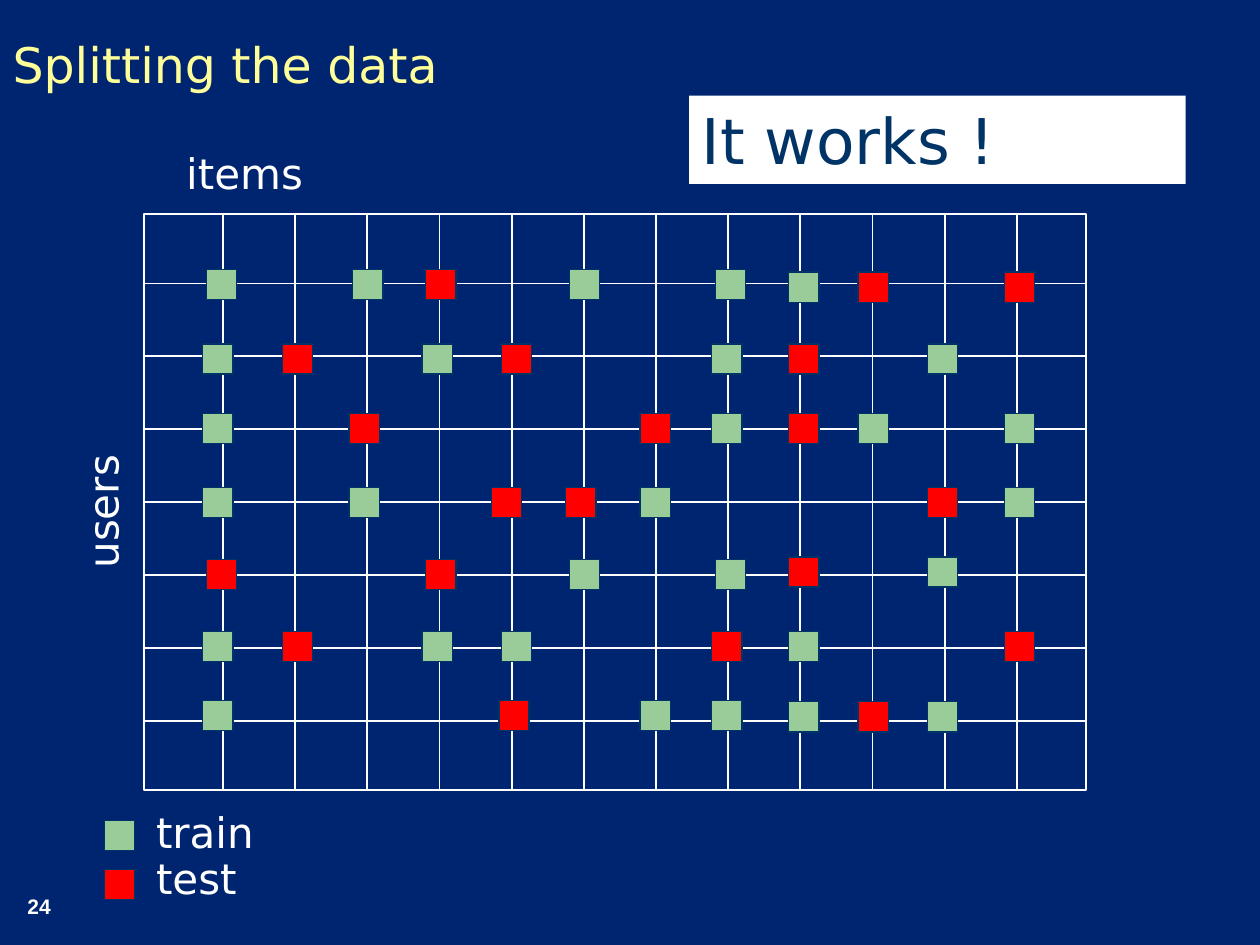
from dataclasses import dataclass

from pptx import Presentation
from pptx.dml.color import RGBColor
from pptx.enum.shapes import MSO_CONNECTOR, MSO_SHAPE
from pptx.enum.text import MSO_ANCHOR, MSO_AUTO_SIZE, PP_ALIGN
from pptx.oxml.ns import qn
from pptx.util import Inches, Pt
from lxml.etree import SubElement


@dataclass(frozen=True)
class Theme:
    back: RGBColor = RGBColor(0x00, 0x25, 0x70)
    white: RGBColor = RGBColor(0xFF, 0xFF, 0xFF)
    title: RGBColor = RGBColor(0xFF, 0xFF, 0x99)
    navy: RGBColor = RGBColor(0x00, 0x33, 0x66)
    train: RGBColor = RGBColor(0x99, 0xCC, 0x99)
    test: RGBColor = RGBColor(0xFF, 0x00, 0x00)
    font: str = "DejaVu Sans"
    small: int = 12
    label: int = 24
    head: int = 28
    big: int = 36


theme = Theme()


def write(shape, words, size, color, anchor=MSO_ANCHOR.TOP, font=theme.font):
    """Put one left-aligned run into a shape and return the run."""
    frame = shape.text_frame
    frame.word_wrap = True
    frame.auto_size = MSO_AUTO_SIZE.NONE
    frame.vertical_anchor = anchor
    para = frame.paragraphs[0]
    para.alignment = PP_ALIGN.LEFT
    run = para.add_run()
    run.text = words
    run.font.name = font
    run.font.size = Pt(size)
    run.font.color.rgb = color
    return run


def mark(left, top, color):
    """Draw one small square for a rating."""
    box = slide.shapes.add_shape(
        MSO_SHAPE.RECTANGLE, Inches(left), Inches(top), Inches(0.24), Inches(0.24))
    box.shadow.inherit = False
    box.fill.solid()
    box.fill.fore_color.rgb = color
    box.line.color.rgb = theme.navy
    box.line.width = Pt(0.75)


deck = Presentation()
deck.slide_width, deck.slide_height = Inches(10), Inches(7.5)
slide = deck.slides.add_slide(deck.slide_layouts[5])
slide.background.fill.solid()
slide.background.fill.fore_color.rgb = theme.back

# Slide number and title
number = slide.shapes.add_textbox(Inches(0.12), Inches(7.04), Inches(0.73), Inches(0.3))
run = write(number, "24", theme.small, theme.white, MSO_ANCHOR.BOTTOM, "Arial")
run.font.bold = True

title = slide.shapes.title
title.left, title.top = Inches(0), Inches(0.08)
title.width, title.height = Inches(8.6), Inches(0.92)
write(title, "Splitting the data", theme.head, theme.title, MSO_ANCHOR.MIDDLE)
title.text_frame.paragraphs[0].line_spacing = 0.9

# Frame of the matrix
left, top, width, height = 1.14, 1.7, 7.48, 4.57
right, bottom = left + width, top + height
frame = slide.shapes.add_shape(
    MSO_SHAPE.RECTANGLE, Inches(left), Inches(top), Inches(width), Inches(height))
frame.shadow.inherit = False
frame.fill.background()
frame.line.color.rgb = theme.white
frame.line.width = Pt(1)

# One line per user and one per item; o is train, x is test
ratings = [
    "o.ox.o.oox.x",
    "ox.ox..ox.o.",
    "o.x...xoxo.o",
    "o.o.xxo...xo",
    "x..x.o.ox.o.",
    "ox.oo..xo..x",
    "o...x.oooxo.",
]
rows, cols = len(ratings), len(ratings[0])
row_gap = (5.72 - 2.25) / (rows - 1)
col_gap = (8.07 - 1.77) / (cols - 1)
ends = [(left, 2.25 + row * row_gap, right, 2.25 + row * row_gap) for row in range(rows)]
ends += [(1.77 + col * col_gap, bottom, 1.77 + col * col_gap, top) for col in range(cols)]
for index, points in enumerate(ends):
    line = slide.shapes.add_connector(MSO_CONNECTOR.STRAIGHT, *map(Inches, points))
    line.line.color.rgb = theme.white
    line.line.width = Pt(1)
    SubElement(line._element.spPr, qn("a:effectLst"))
    if index == rows // 2:
        line.begin_connect(frame, 1)
        line.end_connect(frame, 3)

# Squares sit near the crossings, with the last four items set apart
split = 8
lefts = [1.61, 2.24, 2.77, 3.35, 3.98, 4.49, 5.08, 5.65, 6.26, 6.81, 7.36, 7.97]
tops = [2.14, 2.73, 3.28, 3.87, 4.44, 5.01, 5.56]
far_tops = [2.16, 2.73, 3.28, 3.87, 4.42, 5.01, 5.57]
nudge = {(3, 4): -0.08, (6, 4): -0.02}
colors = {"o": theme.train, "x": theme.test}
for row, line in enumerate(ratings):
    for col, kind in enumerate(line):
        if kind in colors:
            near = col < split
            shift = 0.03 if near and row in (0, 4) else nudge.get((row, col), 0)
            mark(lefts[col] + shift, (tops if near else far_tops)[row], colors[kind])

# Legend squares, labels and the callout
mark(0.83, 6.51, theme.train)
mark(0.83, 6.9, theme.test)

for words, x, y, turn in [
    ("train", 1.14, 6.35, 0),
    ("test", 1.14, 6.72, 0),
    ("items", 1.38, 1.12, 0),
    ("users", 0.18, 3.73, 270),
]:
    label = slide.shapes.add_textbox(Inches(x), Inches(y), Inches(1.26), Inches(0.5))
    label.rotation = turn
    write(label, words, theme.label, theme.white)

note = slide.shapes.add_textbox(Inches(5.47), Inches(0.76), Inches(3.94), Inches(0.7))
note.fill.solid()
note.fill.fore_color.rgb = theme.white
write(note, "It works !", theme.big, theme.navy)

deck.save("out.pptx")
